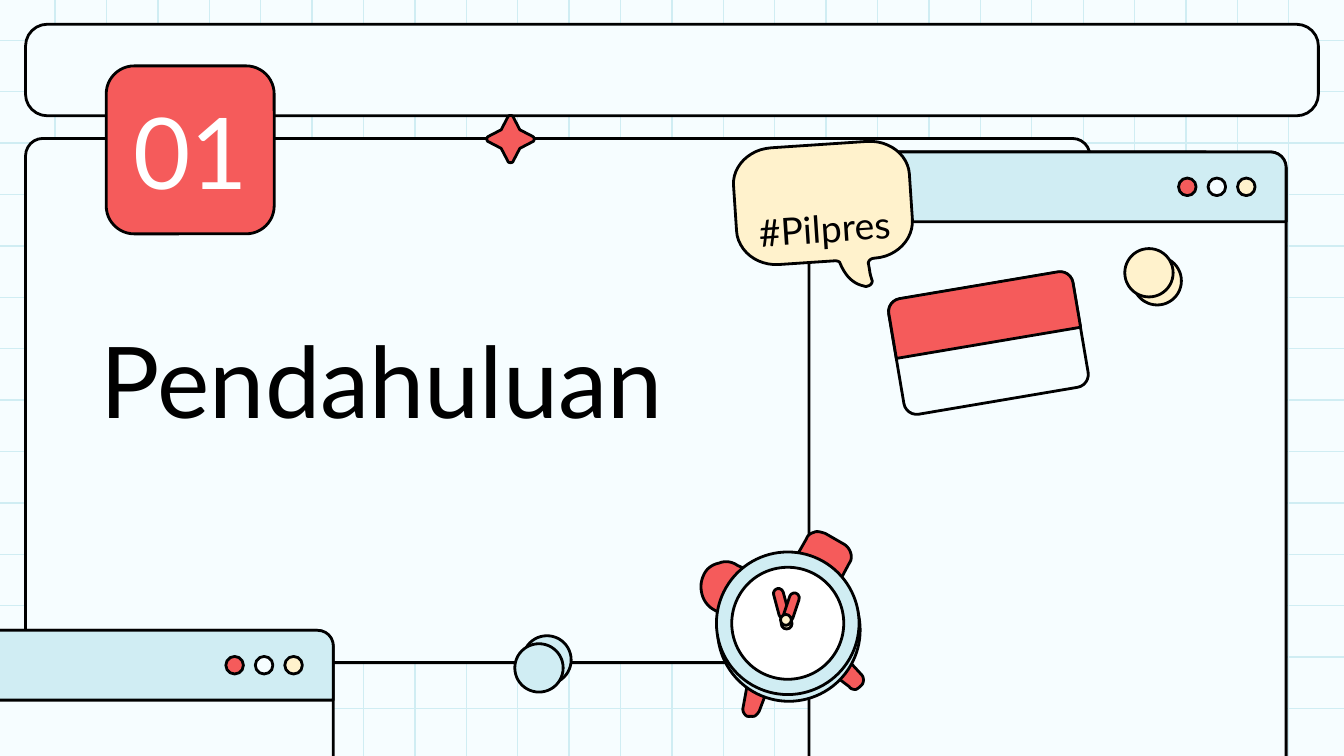
from math import cos, radians, sin

from lxml import etree
from pptx import Presentation
from pptx.dml.color import RGBColor
from pptx.enum.shapes import MSO_CONNECTOR, MSO_SHAPE
from pptx.enum.text import MSO_ANCHOR, MSO_AUTO_SIZE, PP_ALIGN
from pptx.oxml.ns import qn
from pptx.util import Pt

ROUND, TAB, OVAL = (MSO_SHAPE.ROUNDED_RECTANGLE, MSO_SHAPE.ROUND_2_SAME_RECTANGLE,
                    MSO_SHAPE.OVAL)
STRAIGHT = MSO_CONNECTOR.STRAIGHT
TOP, MIDDLE = MSO_ANCHOR.TOP, MSO_ANCHOR.MIDDLE
LEFT, CENTER = PP_ALIGN.LEFT, PP_ALIGN.CENTER
NO_FIT = MSO_AUTO_SIZE.NONE

COLORS = {"paper": "F6FDFF", "sky": "D0EDF3", "red": "F55B5B", "cream": "FFF2CC",
          "ink": "000000", "white": "FFFFFF"}
FONT = "Lato"
WIDTH, HEIGHT = 720, 405
HEADING, NUMBER, HASHTAG = "Pendahuluan", "01", "#Pilpres"

GRID_STEP = 27.54
GRID_COLUMNS, GRID_ROWS = (29.5, 25), (21.6, 14)  # first position, count

# left, top, width, height, corner
PANELS = [(13.7, 13, 692.6, 49, 0.237), (13.7, 74.2, 570.2, 280.8, 0.033)]
BACK_WINDOW = (-97.9, 337.7, 276.5)  # left, top, width
FRONT_WINDOW = (433.4, 81.4, 255.6)
WINDOW_HEIGHT, BAR_HEIGHT = 348.5, 37.4
DOTS = ["red", "paper", "cream"]
DOT_SIZE, DOT_STEP, DOT_INSET = 9.4, 15.8, 57.6

COIN_SIZE = 25.9
SKY_COINS = [(280.1, 340.6), (275.8, 344.9)]
CREAM_COINS = [(607, 137.5), (602.6, 133.2)]

# Outlines: a pair is a straight step, six numbers are a curve
BUBBLE_CENTER, BUBBLE_TILT = (441.4, 116.6), -3.8
BUBBLE = [
    (-25.6, -39.2), (-37.5, -39.2, -47.2, -30.7, -47.2, -20.3), (-47.2, 4),
    (-47.2, 14.8, -37.5, 23.5, -25.6, 23.5), (4.2, 23.5),
    (5.7, 23.5, 7, 24.2, 7, 25), (8.8, 30.2, 12, 36.2, 19.2, 38.1),
    (19.8, 38.4, 20.2, 38.4, 20.6, 38.2), (22, 38.2, 23.5, 37, 23.6, 35.5),
    (22.4, 31.8, 22.6, 28.9, 22.1, 26), (22.2, 24.5, 23.7, 23.5, 25.6, 23.5),
    (37.5, 23.5, 47.2, 14.8, 47.2, 4), (47.2, -20.3),
    (47.2, -30.7, 37.5, -39.2, 25.6, -39.2)]
STAR_CENTER = (273.5, 74.5)
STAR_ARM = [(-5, -5), (-1.4, -11.9), (-1, -12.9, 1, -12.9, 1.4, -11.9)]
CLOCK_PARTS = [
    # left foot
    [(400.3, 367.2), (398.2, 378.7), (397.4, 380.9, 398.9, 383, 400.3, 383.8),
     (401.8, 383.8, 402.5, 383.8, 403.9, 383.8),
     (404.6, 383.8, 406.1, 382.3, 406.8, 380.9), (410.4, 371.5)],
    # right foot
    [(453.6, 352.8), (446.4, 361.4), (455, 367.9),
     (455.8, 369.4, 457.9, 369.4, 458.6, 369.4),
     (460.1, 368.6, 460.8, 367.9, 461.5, 367.2), (463, 365.8, 463, 362.9, 461.5, 361.4)],
    # left bell
    [(385.2, 301.7), (381.6, 302.4, 378.7, 304.6, 377.3, 307.4),
     (373.7, 313.9, 375.8, 322.6, 381.6, 326.2), (385.2, 328.3), (398.9, 304.6),
     (395.3, 303.1), (392.4, 301, 388.8, 300.2, 385.2, 301.7)],
    # right bell
    [(436.3, 285.1), (434.2, 285.8, 432.7, 286.6, 432, 288.7), (427, 297.4), (450, 311),
     (455, 301.7), (457.2, 298.8, 455.8, 293.8, 452.2, 291.6), (442.1, 285.8),
     (439.9, 285.1, 437.8, 284.4, 436.3, 285.1)]]
# centre x, centre y, diameter, color
CLOCK_DISCS = [(422.6, 337.5, 76.4, "sky"), (422, 333.9, 76.4, "sky"),
               (422, 333.9, 60, "white")]
CLOCK_PINS = [(421.4, 334.1, 5.8, "cream"), (421, 332.1, 5.8, "cream")]
CLOCK_HANDS = [(418.5, 323.4, 16.6, -15), (423.9, 325.4, 16, 18.5)]  # x, y, length, tilt
HAND_WIDTH = 5.3

deck = Presentation()
deck.slide_width, deck.slide_height = Pt(WIDTH), Pt(HEIGHT)
page = deck.slides.add_slide(deck.slide_layouts[0])


def rgb(name):
    return RGBColor.from_string(COLORS[name])


def paint(shape, color, tilt=0):
    shape.shadow.inherit = False
    shape.fill.solid()
    shape.fill.fore_color.rgb = rgb(color)
    shape.line.color.rgb = rgb("ink")
    shape.line.width = Pt(1.5)
    shape.rotation = tilt
    return shape


def add_preset(kind, box, color, corners=(), tilt=0):
    shape = page.shapes.add_shape(kind, *map(Pt, box))
    for index, corner in enumerate(corners):
        shape.adjustments[index] = corner
    return paint(shape, color, tilt)


def flatten(steps, pieces=12):
    """Turn straight steps and cubic curves into a list of points."""
    points = []
    for step in steps:
        if len(step) == 2:
            points.append(step)
            continue
        knots = [points[-1], step[:2], step[2:4], step[4:]]
        for piece in range(1, pieces + 1):
            t = piece / pieces
            weights = ((1 - t) ** 3, 3 * t * (1 - t) ** 2, 3 * t * t * (1 - t), t ** 3)
            points.append(tuple(sum(w * knot[axis] for w, knot in zip(weights, knots))
                                for axis in (0, 1)))
    return points


def add_outline(points, color, center=(0, 0), tilt=0):
    placed = [(Pt(center[0] + x), Pt(center[1] + y)) for x, y in points]
    builder = page.shapes.build_freeform(*placed[0], scale=1.0)
    builder.add_line_segments(placed[1:], close=True)
    return paint(builder.convert_to_shape(), color, tilt)


def add_disc(x, y, size, color):
    add_preset(OVAL, (x - size / 2, y - size / 2, size, size), color)


def add_window(left, top, width):
    add_preset(ROUND, (left, top, width, WINDOW_HEIGHT), "paper", [0.033])
    add_preset(TAB, (left, top, width, BAR_HEIGHT), "sky", [0.222, 0])
    for index, color in enumerate(DOTS):
        add_disc(left + width - DOT_INSET + index * DOT_STEP + DOT_SIZE / 2,
                 top + BAR_HEIGHT / 2, DOT_SIZE, color)


def add_coins(places, color):
    for place in places:
        add_preset(OVAL, (*place, COIN_SIZE, COIN_SIZE), color)


def write(shape, text, size, color, anchor, align, spacing):
    frame = shape.text_frame
    margins = {f"margin_{side}": Pt(7.2) for side in ("left", "top", "right", "bottom")}
    para = frame.paragraphs[0]
    span = para.add_run()
    span.text = text
    formats = [
        (frame, {"word_wrap": True, "auto_size": NO_FIT, "vertical_anchor": anchor, **margins}),
        (para, {"alignment": align, "line_spacing": spacing, "space_before": Pt(0)}),
        (span.font, {"name": FONT, "size": Pt(size), "bold": False})]
    for target, values in formats:
        for name, value in values.items():
            setattr(target, name, value)
    span.font.color.rgb = rgb(color)


def place_on_top(holder, box):
    for name, value in zip(("left", "top", "width", "height"), box):
        setattr(holder, name, Pt(value))
    holder.element.getparent().append(holder.element)
    return holder


def add_grid_line(*ends):
    line = page.shapes.add_connector(STRAIGHT, *map(Pt, ends))
    line.line.color.rgb = rgb("sky")
    line.line.width = Pt(0.75)
    etree.SubElement(line.element.spPr, qn("a:effectLst"))


page.background.fill.solid()
page.background.fill.fore_color.rgb = rgb("paper")
for index in range(GRID_COLUMNS[1]):
    x = GRID_COLUMNS[0] + index * GRID_STEP
    add_grid_line(x, 0, x, HEIGHT)
for index in range(GRID_ROWS[1]):
    y = GRID_ROWS[0] + index * GRID_STEP
    add_grid_line(0, y, WIDTH, y)

for *box, corner in PANELS:
    add_preset(ROUND, box, "paper", [corner])
add_window(*BACK_WINDOW)
add_coins(SKY_COINS, "sky")
add_preset(ROUND, (56.9, 35.3, 90, 90), "red", [0.167])
add_window(*FRONT_WINDOW)

title = place_on_top(page.shapes.title, (46.8, 171.4, 365, 127.4))
write(title, HEADING, 53, "ink", TOP, LEFT, 0.9)
number = place_on_top(page.placeholders[1], (60.5, 52.6, 83.5, 55.4))
write(number, NUMBER, 53, "white", MIDDLE, CENTER, 1.0)

bubble = add_outline(flatten(BUBBLE), "cream", BUBBLE_CENTER, BUBBLE_TILT)
write(bubble, HASHTAG, 20, "ink", MIDDLE, CENTER, 1.5)
turns = [radians(90 * quarter) for quarter in range(4)]
star = [(x * cos(turn) - y * sin(turn), x * sin(turn) + y * cos(turn))
        for turn in turns for x, y in flatten(STAR_ARM)]
add_outline(star, "red", STAR_CENTER)
add_coins(CREAM_COINS, "cream")

add_preset(ROUND, (479.5, 152.6, 100.1, 62.6), "paper", [0.111], -9.6)
add_preset(TAB, (476.9, 152.6, 100.1, 31.3), "red", [0.222, 0], -9.6)

for part in CLOCK_PARTS:
    add_outline(flatten(part), "red")
for disc in CLOCK_DISCS:
    add_disc(*disc)
for x, y, length, tilt in CLOCK_HANDS:
    add_preset(ROUND, (x - HAND_WIDTH / 2, y - length / 2, HAND_WIDTH, length),
               "red", [0.5], tilt)
for pin in CLOCK_PINS:
    add_disc(*pin)

deck.save("out.pptx")
